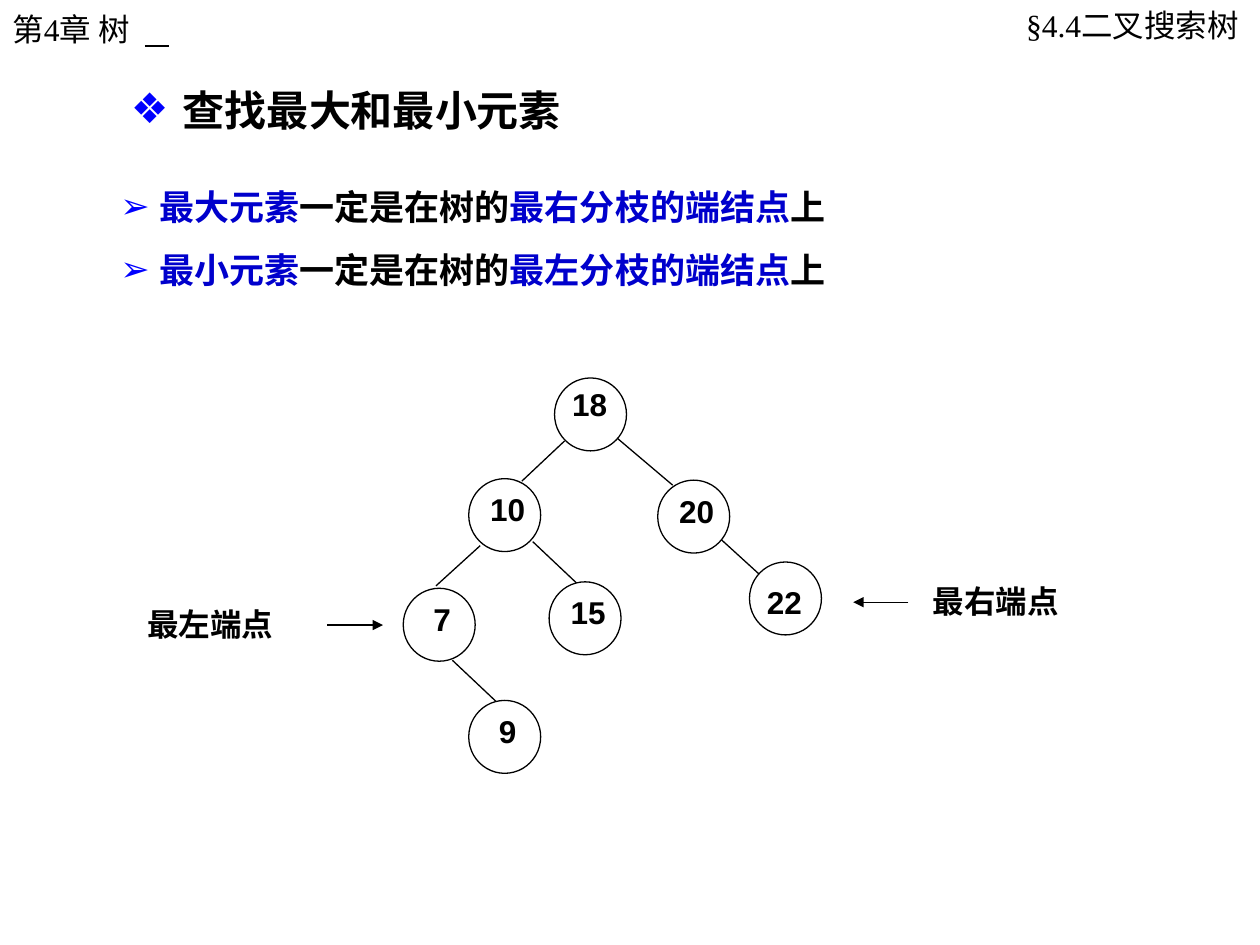
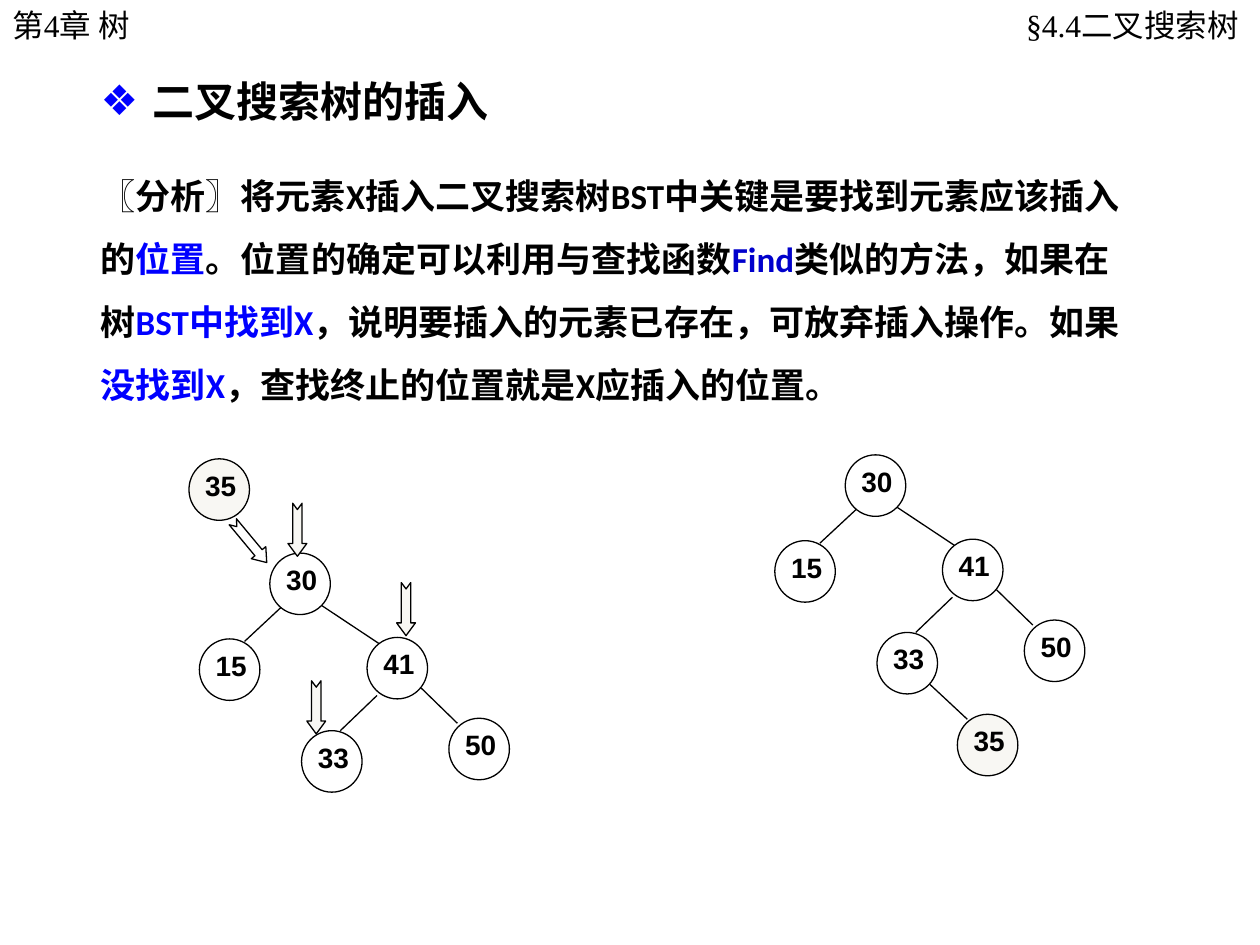
from dataclasses import dataclass

from lxml import etree
from pptx import Presentation
from pptx.dml.color import RGBColor
from pptx.enum.shapes import MSO_CONNECTOR, MSO_SHAPE
from pptx.enum.text import MSO_ANCHOR, PP_ALIGN
from pptx.oxml.ns import qn
from pptx.util import Cm, Pt

ELLIPSE = MSO_SHAPE.OVAL
NOTCHED_ARROW = MSO_SHAPE.NOTCHED_RIGHT_ARROW
STRAIGHT = MSO_CONNECTOR.STRAIGHT
LEFT, CENTER, RIGHT = PP_ALIGN.LEFT, PP_ALIGN.CENTER, PP_ALIGN.RIGHT
TOP, MIDDLE = MSO_ANCHOR.TOP, MSO_ANCHOR.MIDDLE


@dataclass(frozen=True)
class Theme:
    black: str = "000000"
    white: str = "FFFFFF"
    new_node: str = "F8F7F3"
    blue: str = "0000FF"
    dark_blue: str = "0000CC"
    body_font: str = "Calibri"
    header_font: str = "Times New Roman"
    node_font: str = "Arial"
    title_size: int = 24
    body_size: int = 20
    label_size: int = 18
    small_size: int = 16
    line_width: float = 0.75


@dataclass(frozen=True)
class NodeStyle:
    size: tuple
    label_size: tuple
    label_offset: tuple
    font_size: int


T = Theme()
NO_INSETS = (0, 0, 0, 0)
TEXT_INSETS = (0.25, 0.13, 0.25, 0.13)
LARGE_NODE = NodeStyle((1.45, 1.47), (0.81, 0.86), (0.38, 0.23), T.label_size)
SMALL_NODE = NodeStyle((1.22, 1.24), (0.66, 0.74), (0.31, 0.19), T.small_size)

SEARCH_NODES = [
    ("18", 11.18, 7.62, {"offset": (0.3, 0.15)}),
    ("10", 9.45, 9.65, {}),
    ("15", 11.07, 11.73, {}),
    ("20", 13.26, 9.68, {}),
    ("7", 8.13, 11.86, {}),
    ("22", 15.11, 11.33, {"offset": (0.3, 0.43)}),
    ("9", 9.45, 14.12, {}),
]
SEARCH_EDGES = [
    (11.38, 8.89, 10.52, 9.7),
    (9.68, 11, 8.79, 11.81),
    (10.74, 10.92, 11.63, 11.76),
    (12.45, 8.84, 13.56, 9.78),
    (14.53, 10.87, 15.42, 11.68),
    (9.12, 13.31, 10.01, 14.15),
]
INSERT_NODES = [
    ("30", 0, 0, {}),
    ("15", -1.42, 1.73, {}),
    ("41", 1.96, 1.7, {}),
    ("33", 0.64, 3.58, {}),
    ("50", 3.61, 3.33, {}),
]
INSERT_EDGES = [
    (1.02, 1.04, 2.21, 1.83),
    (2.16, 2.87, 1.42, 3.58),
    (3.05, 2.72, 3.78, 3.43),
    (0.23, 1.09, -0.51, 1.78),
]
INSERTED_NODE = ("35", 2.26, 5.23, {"fill": T.new_node})
INSERTED_EDGE = (1.7, 4.62, 2.46, 5.33)


def rgb(color):
    return RGBColor.from_string(color)


def add_bullet(p, char, indent):
    pPr = p._p.get_or_add_pPr()
    pPr.set("marL", str(Cm(indent)))
    pPr.set("indent", str(-Cm(indent)))
    clr = etree.SubElement(pPr, qn("a:buClr"))
    etree.SubElement(clr, qn("a:srgbClr"), val=T.blue)
    etree.SubElement(pPr, qn("a:buFont"), typeface=T.body_font)
    etree.SubElement(pPr, qn("a:buChar"), char=char)


def add_text(s, box, paragraphs, size, font=T.body_font, bold=True, align=LEFT,
             anchor=TOP, insets=TEXT_INSETS, wrap=True, spacing=None, bullet=None):
    tf = s.shapes.add_textbox(*map(Cm, box)).text_frame
    tf.word_wrap = wrap
    tf.vertical_anchor = anchor
    tf.margin_left, tf.margin_top, tf.margin_right, tf.margin_bottom = map(Cm, insets)
    for i, runs in enumerate(paragraphs):
        p = tf.add_paragraph() if i else tf.paragraphs[0]
        if bullet:
            add_bullet(p, *bullet)
        p.alignment = align
        if spacing:
            p.line_spacing = spacing
        for text, color in runs:
            r = p.add_run()
            r.text = text
            r.font.name = font
            r.font.size = Pt(size)
            r.font.bold = bold
            r.font.color.rgb = rgb(color)


def add_line(s, x1, y1, x2, y2, arrow=False):
    c = s.shapes.add_connector(STRAIGHT, Cm(x1), Cm(y1), Cm(x2), Cm(y2))
    c.line.color.rgb = rgb(T.black)
    c.line.width = Pt(T.line_width)
    if arrow:
        etree.SubElement(c.line._get_or_add_ln(), qn("a:tailEnd"), type="triangle")
    etree.SubElement(c._element.spPr, qn("a:effectLst"))


def add_outlined(s, kind, box, fill):
    sp = s.shapes.add_shape(kind, *map(Cm, box))
    sp.shadow.inherit = False
    sp.fill.solid()
    sp.fill.fore_color.rgb = rgb(fill)
    sp.line.color.rgb = rgb(T.black)
    sp.line.width = Pt(T.line_width)
    return sp


def add_node(s, style, key, x, y, fill=T.white, offset=None):
    add_outlined(s, ELLIPSE, (x, y, *style.size), fill)
    dx, dy = offset or style.label_offset
    add_text(s, (x + dx, y + dy, *style.label_size), [[(key, T.black)]],
             style.font_size, T.node_font, align=CENTER, insets=NO_INSETS)


def add_tree(s, style, nodes, edges, x0=0, y0=0):
    for x1, y1, x2, y2 in edges:
        add_line(s, x0 + x1, y0 + y1, x0 + x2, y0 + y2)
    for key, x, y, options in nodes:
        add_node(s, style, key, x0 + x, y0 + y, **options)


def add_step_arrow(s, x, y, rotation=90, fill=T.new_node):
    sp = add_outlined(s, NOTCHED_ARROW, (x, y, 1.07, 0.38), fill)
    sp.adjustments[0] = 0.5
    sp.adjustments[1] = 0.677
    sp.rotation = rotation


def add_end_label(s, x, y, text):
    add_text(s, (x, y, 3.63, 1.68), [[(text, T.black)]], T.label_size,
             anchor=MIDDLE, insets=NO_INSETS)


def add_slide(prs, title, title_box, chapter_top=0):
    s = prs.slides.add_slide(prs.slide_layouts[6])
    add_text(s, title_box, [[(title, T.black)]], T.title_size,
             wrap=False, bullet=("❖", 1.05))
    add_text(s, (0, chapter_top, 5.31, 1.02), [[("第4章 树", T.black)]],
             T.label_size, T.header_font, bold=False)
    add_text(s, (15.7, 0, 9.68, 1.02), [[("§4.4二叉搜索树", T.black)]],
             T.label_size, T.header_font, bold=False, align=RIGHT,
             insets=(0.3, 0.13, 0.41, 0.13))
    return s


def build_search_slide(prs):
    s = add_slide(prs, "查找最大和最小元素", (2.39, 1.57, 9.22, 1.27), chapter_top=0.08)
    add_line(s, 2.92, 0.93, 3.41, 0.93)
    rules = [
        [(element, T.dark_blue), ("一定是在树的", T.black),
         (place, T.dark_blue), ("上", T.black)]
        for element, place in (("最大元素", "最右分枝的端结点"),
                               ("最小元素", "最左分枝的端结点"))
    ]
    add_text(s, (2.18, 3.18, 14.86, 2.67), rules, T.body_size,
             wrap=False, spacing=1.5, bullet=("➢", 0.78))
    add_tree(s, LARGE_NODE, SEARCH_NODES, SEARCH_EDGES)
    add_end_label(s, 2.97, 11.73, "最左端点")
    add_line(s, 6.6, 12.6, 7.72, 12.6, arrow=True)
    add_end_label(s, 18.8, 11.28, "最右端点")
    add_line(s, 18.31, 12.14, 17.2, 12.14, arrow=True)


def build_insert_slide(prs):
    s = add_slide(prs, "二叉搜索树的插入", (1.78, 1.4, 8.36, 1.27))
    analysis = [
        ("〖分析〗将元素X插入二叉搜索树BST中关键是要找到元素应该插入的", T.black),
        ("位置", T.blue),
        ("。位置的确定可以利用与查找函数", T.black),
        ("Find", T.dark_blue),
        ("类似的方法，如果在树", T.black),
        ("BST中找到X", T.blue),
        ("，说明要插入的元素已存在，可放弃插入操作。如果", T.black),
        ("没找到X", T.blue),
        ("，查找终止的位置就是X应插入的位置。", T.black),
    ]
    add_text(s, (1.78, 2.97, 21.13, 5.23), [analysis], T.body_size, spacing=1.5)
    add_tree(s, SMALL_NODE, INSERT_NODES + [INSERTED_NODE],
             INSERT_EDGES + [INSERTED_EDGE], 17.04, 9.17)
    add_tree(s, SMALL_NODE, INSERT_NODES, INSERT_EDGES, 5.44, 11.15)
    add_node(s, SMALL_NODE, "35", 3.81, 9.25, fill=T.new_node)
    add_step_arrow(s, 4.5, 10.74, rotation=50.2, fill=T.white)
    for x, y in ((5.46, 10.49), (7.65, 12.09), (5.84, 14.07)):
        add_step_arrow(s, x, y)


def main():
    prs = Presentation()
    prs.slide_width, prs.slide_height = Cm(25.4), Cm(19.05)
    build_search_slide(prs)
    build_insert_slide(prs)
    prs.save("out.pptx")


if __name__ == "__main__":
    main()
